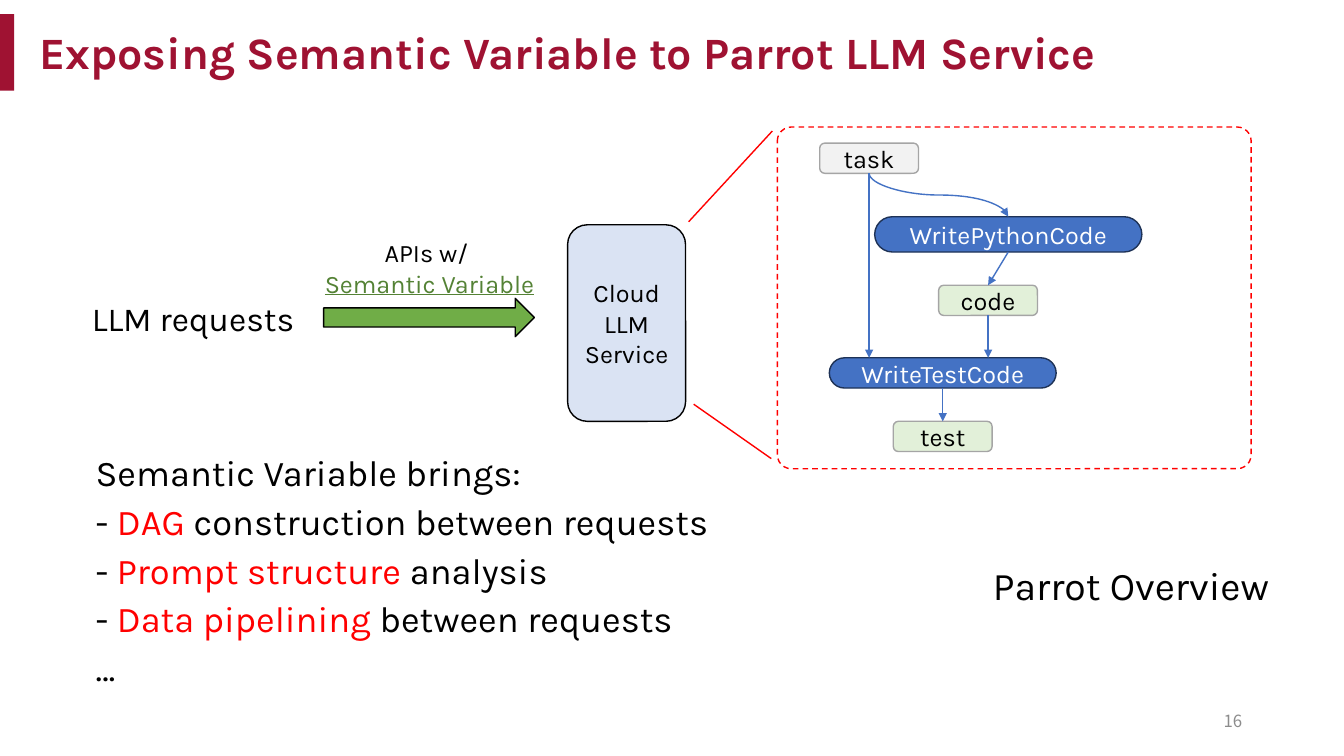
from dataclasses import dataclass

from lxml import etree
from pptx import Presentation
from pptx import util as u
from pptx.dml.color import RGBColor
from pptx.enum import dml, shapes, text
from pptx.oxml import ns


@dataclass(frozen=True)
class Theme:
    font: str = "Karla"
    number_font: str = "Noto Sans CJK SC"
    accent: str = "9F1232"
    black: str = "000000"
    white: str = "FFFFFF"
    red: str = "FF0000"
    blue: str = "4472C4"
    navy: str = "1E3256"
    pale_blue: str = "DAE3F3"
    green: str = "70AD47"
    dark_green: str = "548235"
    pale_green: str = "E2F0D9"
    pale_gray: str = "F2F2F2"
    gray: str = "A5A5A5"
    number_gray: str = "8C8C8C"
    title: float = 32
    caption: float = 28
    body: float = 25.9
    request: float = 24
    label: float = 18
    number: float = 12


THEME = Theme()
SHAPE = shapes.MSO_SHAPE
ALIGN = text.PP_ALIGN
MIDDLE = text.MSO_ANCHOR.MIDDLE


def color(value):
    return RGBColor.from_string(value)


def write(shape, lines, size, ink=THEME.black, align=ALIGN.LEFT, anchor=text.MSO_ANCHOR.TOP,
          spacing=None, before=0, font=THEME.font, bold=False):
    """Fill a shape with lines; a line is a string or a list of (words, color) runs."""
    frame = shape.text_frame
    frame.word_wrap = True
    frame.vertical_anchor = anchor
    for index, line in enumerate(lines):
        paragraph = frame.add_paragraph() if index else frame.paragraphs[0]
        paragraph.alignment = align
        if spacing:
            paragraph.line_spacing = spacing
        if index and before:
            paragraph.space_before = u.Pt(before)
        paragraph.font.name = font
        paragraph.font.size = u.Pt(size)
        paragraph.font.bold = bold
        paragraph.font.color.rgb = color(ink)
        for words, run_ink in [(line, ink)] if isinstance(line, str) else line:
            run = paragraph.add_run()
            run.text = words
            if run_ink != ink:
                run.font.color.rgb = color(run_ink)
    return frame


def add_text(slide, box, lines, size, **style):
    return write(slide.shapes.add_textbox(*map(u.Inches, box)), lines, size, **style)


def add_box(slide, kind, box, fill=None, line=None, corner=None):
    shape = slide.shapes.add_shape(kind, *map(u.Inches, box))
    shape.shadow.inherit = False
    if fill:
        shape.fill.solid()
        shape.fill.fore_color.rgb = color(fill)
    else:
        shape.fill.background()
    if line:
        shape.line.color.rgb = color(line)
        shape.line.width = u.Pt(1)
    else:
        shape.line.fill.background()
    if corner is not None:
        shape.adjustments[0] = corner
    return shape


def add_line(slide, start, end, ink, arrow=False, curved=False):
    kind = shapes.MSO_CONNECTOR.CURVE if curved else shapes.MSO_CONNECTOR.STRAIGHT
    connector = slide.shapes.add_connector(kind, *map(u.Inches, (*start, *end)))
    connector.line.color.rgb = color(ink)
    connector.line.width = u.Pt(1)
    properties = connector._element.spPr
    etree.SubElement(properties, ns.qn("a:effectLst"))
    if arrow:
        etree.SubElement(connector.line._get_or_add_ln(), ns.qn("a:tailEnd"), type="triangle")
    if curved:
        # Turn the curve so that it leaves and arrives vertically
        across, down = end[0] - start[0], end[1] - start[1]
        connector.left = u.Inches((start[0] + end[0] - down) / 2)
        connector.top = u.Inches((start[1] + end[1] - across) / 2)
        connector.width, connector.height = u.Inches(down), u.Inches(across)
        transform = properties.find(ns.qn("a:xfrm"))
        transform.set("rot", str(270 * 60000))
        transform.set("flipH", "1")


def draw_title(slide, box):
    left, top, width, height = box
    add_box(slide, SHAPE.RECTANGLE, (left, top, 0.14, height), THEME.accent)
    add_text(slide, (left + 0.29, top + 0.03, width, height),
             ["Exposing Semantic Variable to Parrot LLM Service"], THEME.title,
             ink=THEME.accent, anchor=MIDDLE, spacing=0.9, bold=True)


def draw_benefits(slide, box):
    benefits = [("DAG", " construction between requests"),
                ("Prompt structure ", "analysis"),
                ("Data pipelining ", "between requests")]
    lines = [[("- ", THEME.black), (key, THEME.red), (rest, THEME.black)]
             for key, rest in benefits]
    add_text(slide, box, ["Semantic Variable brings:", *lines, "…"], THEME.body,
             spacing=0.8, before=10)


def draw_request_flow(slide, box):
    left, top, width, height = box
    add_text(slide, (left, top + 0.68, 3.07, 0.5), ["LLM requests"], THEME.request,
             align=ALIGN.CENTER)
    # Arrow with its caption
    add_box(slide, SHAPE.RIGHT_ARROW, (left + 2.83, top + 0.73, 2.09, 0.38),
            THEME.green, THEME.black)
    caption = add_text(slide, (left + 2.42, top + 0.08, 2.92, 0.71),
                       ["APIs w/ ", [("Semantic Variable", THEME.dark_green)]],
                       THEME.label, align=ALIGN.CENTER)
    caption.paragraphs[1].runs[0].font.underline = True
    # Service at the right end
    service = add_box(slide, SHAPE.ROUNDED_RECTANGLE, (left + width - 1.17, top, 1.17, height),
                      THEME.pale_blue, THEME.black)
    write(service, ["Cloud", "LLM", "Service"], THEME.label, align=ALIGN.CENTER, anchor=MIDDLE)


def draw_graph(slide, box):
    left, top, width, height = box
    frame = add_box(slide, SHAPE.ROUNDED_RECTANGLE, box, line=THEME.red, corner=0.041)
    frame.line.dash_style = dml.MSO_LINE.DASH

    # Nodes: center x, top, width, height, fill, line, ink, corner
    variable = (0.98, 0.3)
    plain = (THEME.gray, THEME.black, None)
    call = (THEME.blue, THEME.navy, THEME.white, 0.5)
    nodes = {
        "task": (0.91, 0.16, *variable, THEME.pale_gray, *plain),
        "WritePythonCode": (2.29, 0.89, 2.65, 0.35, *call),
        "code": (2.09, 1.57, *variable, THEME.pale_green, *plain),
        "WriteTestCode": (1.64, 2.29, 2.25, 0.3, *call),
        "test": (1.64, 2.92, *variable, THEME.pale_green, *plain),
    }
    for name, (center, y, node_width, node_height, fill, line, ink, corner) in nodes.items():
        node = add_box(slide, SHAPE.ROUNDED_RECTANGLE,
                       (left + center - node_width / 2, top + y, node_width, node_height),
                       fill, line, corner)
        write(node, [name], THEME.label, ink=ink, align=ALIGN.CENTER, anchor=MIDDLE)

    # Edges run from a node's bottom to the next node's top; some drop straight down
    for source, target, straight_down, curved in [
            ("task", "WriteTestCode", True, False),
            ("task", "WritePythonCode", False, True),
            ("WritePythonCode", "code", False, False),
            ("code", "WriteTestCode", True, False),
            ("WriteTestCode", "test", True, False)]:
        start_x, start_y, _, start_height = nodes[source][:4]
        end_x, end_y = nodes[target][:2]
        add_line(slide, (left + start_x, top + start_y + start_height),
                 (left + (start_x if straight_down else end_x), top + end_y),
                 THEME.blue, arrow=True, curved=curved)

    # Zoom lines back to the service
    add_line(slide, (left - 0.05, top + 0.04), (left - 0.88, top + 0.94), THEME.red)
    add_line(slide, (left - 0.06, top + 3.29), (left - 0.83, top + 2.75), THEME.red)


def draw_footer(slide, box):
    left, top, width, height = box
    add_text(slide, (left, top, width, 0.6), ["Parrot Overview"], THEME.caption, spacing=0.9)
    add_text(slide, (left - 0.33, top + height - 0.4, 3, 0.4), ["16"], THEME.number,
             ink=THEME.number_gray, align=ALIGN.RIGHT, anchor=MIDDLE, font=THEME.number_font)


def main():
    presentation = Presentation()
    presentation.slide_width = u.Inches(13.33)
    presentation.slide_height = u.Inches(7.5)
    slide = presentation.slides.add_slide(presentation.slide_layouts[6])
    draw_title(slide, (0, 0.14, 12.13, 0.76))
    draw_benefits(slide, (0.85, 4.5, 12.13, 2.41))
    draw_request_flow(slide, (0.38, 2.23, 6.42, 1.95))
    draw_graph(slide, (7.71, 1.26, 4.7, 3.39))
    draw_footer(slide, (9.75, 5.57, 3.47, 1.78))
    presentation.save("out.pptx")


if __name__ == "__main__":
    main()
